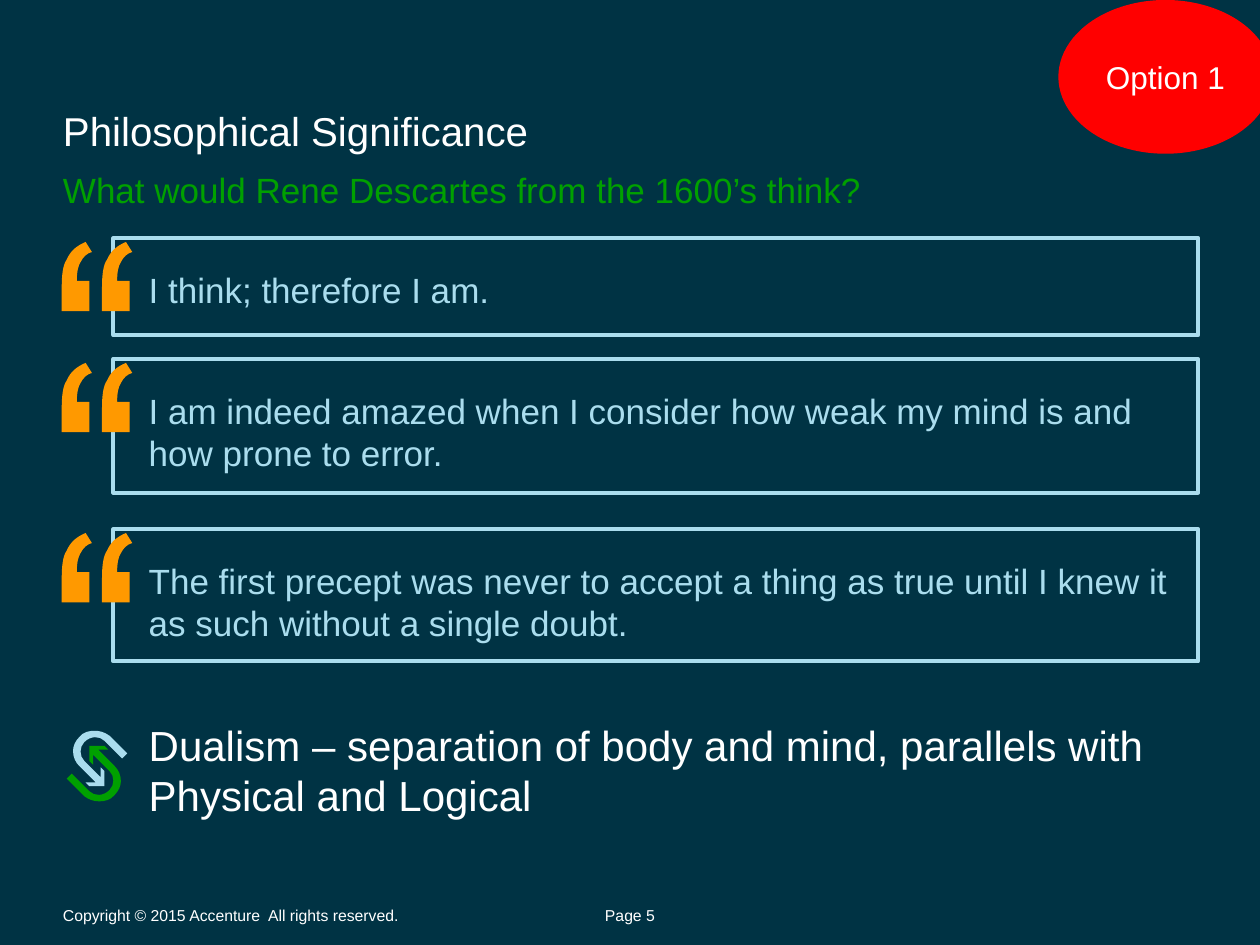
from lxml import etree
from pptx import Presentation
from pptx.dml.color import RGBColor
from pptx.enum.shapes import MSO_SHAPE
from pptx.enum.text import MSO_ANCHOR, PP_ALIGN
from pptx.oxml.ns import qn
from pptx.util import Inches, Pt

COLORS = {
    "background": "003344", "white": "FFFFFF", "green": "00A000",
    "pale_blue": "AADDEE", "orange": "FF9900", "red": "FF0000",
}

# Content
TITLE = "Philosophical Significance"
SUBTITLE = "What would Rene Descartes from the 1600’s think?"
QUOTES = [  # top, height, wording
    (1.89, 0.77, "I think; therefore I am."),
    (2.85, 1.06, "I am indeed amazed when I consider how weak my mind is and "
                 "how prone to error."),
    (4.20, 1.05, "The first precept was never to accept a thing as true until "
                 "I knew it as such without a single doubt."),
]
CONCLUSION = ("Dualism – separation of body and mind, parallels with "
              "Physical and Logical")
BADGE = "Option 1"
COPYRIGHT = "Copyright © 2015 Accenture  All rights reserved."
PAGE = "Page 5"

# Layout
MARGIN = 0.5
QUOTE_LEFT, QUOTE_WIDTH = 0.9, 8.61
QUOTE_INSETS = (0.28, 0.24, 0.1, 0.05)
MARK_LEFT, MARK_DROP, MARK_GAP = 0.49, 0.03, 0.32
ICON_CENTER = (0.77, 6.08)

# Outlines: a pair is a corner, six numbers are a Bezier curve
QUOTE_MARK = [
    (0.22, 0.31), (0.22, 0.55), (0, 0.55), (0, 0.36),
    (0, 0.26, 0.01, 0.18, 0.04, 0.14), (0.07, 0.07, 0.12, 0.03, 0.19, 0),
    (0.24, 0.08), (0.2, 0.09, 0.17, 0.12, 0.15, 0.16),
    (0.13, 0.19, 0.12, 0.24, 0.12, 0.31),
]
HOOKED_ARROW = [  # around the icon centre
    (0.06, -0.16), (-0.06, -0.16), (-0.06, -0.04), (-0.03, -0.01),
    (-0.03, -0.09), (0.1, 0.04), (0.14, 0.08, 0.14, 0.15, 0.1, 0.19),
    (0.05, 0.24, -0.02, 0.24, -0.06, 0.2), (-0.2, 0.06), (-0.24, 0.1),
    (-0.1, 0.24), (-0.06, 0.27, -0.02, 0.28, 0.02, 0.28),
    (0.06, 0.28, 0.11, 0.27, 0.14, 0.23), (0.17, 0.2, 0.19, 0.16, 0.19, 0.12),
    (0.19, 0.07, 0.17, 0.03, 0.14, 0), (0.01, -0.13), (0.09, -0.13),
]


def rgb(color):
    return RGBColor.from_string(COLORS[color])


def draw_outline(outline, origins, color, sign=1):
    """Draw one filled shape holding the outline once at each origin."""
    contours = [[[(Inches(left + sign * x), Inches(top + sign * y))
                  for x, y in zip(part[::2], part[1::2])] for part in outline]
                for left, top in origins]
    builder = None
    for contour in contours:
        ends = [part[-1] for part in contour]
        if builder is None:
            builder = slide.shapes.build_freeform(*ends[0], scale=1.0)
        else:
            builder.move_to(*ends[0])
        builder.add_line_segments(ends[1:])
    outline_shape = builder.convert_to_shape()

    # Bend the segments that are curves
    segments = [part for contour in contours for part in contour[1:]]
    lines = [line for line in outline_shape.element.iter(qn("a:lnTo"))]
    closing = len(lines) // len(contours) - len(outline) + 1
    per_contour = len(outline) - 1 + closing
    for index, part in enumerate(segments):
        if len(part) == 1:
            continue
        row, column = divmod(index, len(outline) - 1)
        line = lines[row * per_contour + column]
        line.tag = qn("a:cubicBezTo")
        for position, (x, y) in enumerate(part[:-1]):
            control = etree.Element(qn("a:pt"), x=str(x - outline_shape.left),
                                    y=str(y - outline_shape.top))
            line.insert(position, control)

    outline_shape.shadow.inherit = False
    outline_shape.fill.solid()
    outline_shape.fill.fore_color.rgb = rgb(color)
    outline_shape.line.fill.background()


def write(holder, text, size, color, insets, anchor=MSO_ANCHOR.TOP,
          align=PP_ALIGN.LEFT):
    frame = holder.text_frame
    frame.word_wrap = True
    frame.vertical_anchor = anchor
    (frame.margin_left, frame.margin_top,
     frame.margin_right, frame.margin_bottom) = map(Inches, insets)
    paragraph = frame.paragraphs[0]
    paragraph.alignment = align
    run = paragraph.add_run()
    run.text = text
    run.font.name = "Arial"
    run.font.size = Pt(size)
    run.font.color.rgb = rgb(color)


def add_text(box, *text_settings, **options):
    write(slide.shapes.add_textbox(*map(Inches, box)), *text_settings, **options)


def add_preset(preset, box, fill=None, line=None):
    preset_shape = slide.shapes.add_shape(preset, *map(Inches, box))
    preset_shape.shadow.inherit = False
    if fill:
        preset_shape.fill.solid()
        preset_shape.fill.fore_color.rgb = rgb(fill)
    else:
        preset_shape.fill.background()
    if line:
        preset_shape.line.color.rgb = rgb(line)
        preset_shape.line.width = Pt(2.25)
    else:
        preset_shape.line.fill.background()
    return preset_shape


presentation = Presentation()
presentation.slide_width, presentation.slide_height = Inches(10), Inches(7.5)
slide = presentation.slides.add_slide(presentation.slide_layouts[6])
slide.background.fill.solid()
slide.background.fill.fore_color.rgb = rgb("background")

# Page number and headings
add_text((4.7, 7.19, 0.6, 0.14), PAGE, 9, "white", (0, 0.05, 0, 0.05),
         anchor=MSO_ANCHOR.MIDDLE, align=PP_ALIGN.CENTER)
add_text((MARGIN, 0.13, 9, 1.1), TITLE, 23, "white", (0, 0.05, 0, 0),
         anchor=MSO_ANCHOR.BOTTOM)
add_text((MARGIN, 1.29, 9, 0.43), SUBTITLE, 20, "green", (0, 0.05, 0, 0))

# Copyright line
add_text((MARGIN, 7.19, 3.94, 0.14), COPYRIGHT, 9, "white",
         (0, 0.05, 0.1, 0.05), anchor=MSO_ANCHOR.MIDDLE)

# Option badge
badge = add_preset(MSO_SHAPE.OVAL, (8.4, 0, 1.7, 1.22), fill="red")
write(badge, BADGE, 18, "white", (0.1, 0.05, 0.1, 0.05),
      anchor=MSO_ANCHOR.MIDDLE, align=PP_ALIGN.CENTER)

# Quotes with their marks
for top, height, quote in QUOTES:
    quote_box = add_preset(MSO_SHAPE.RECTANGLE,
                           (QUOTE_LEFT, top, QUOTE_WIDTH, height),
                           line="pale_blue")
    write(quote_box, quote, 20, "pale_blue", QUOTE_INSETS)
    draw_outline(QUOTE_MARK, [(MARK_LEFT + i * MARK_GAP, top + MARK_DROP)
                              for i in range(2)], "orange")

# Conclusion, with two interlocking arrows half a turn apart
add_text((QUOTE_LEFT, 5.47, QUOTE_WIDTH, 1.16), CONCLUSION, 24, "white",
         QUOTE_INSETS)
for color, sign in (("green", 1), ("pale_blue", -1)):
    draw_outline(HOOKED_ARROW, [ICON_CENTER], color, sign)

presentation.save("out.pptx")
